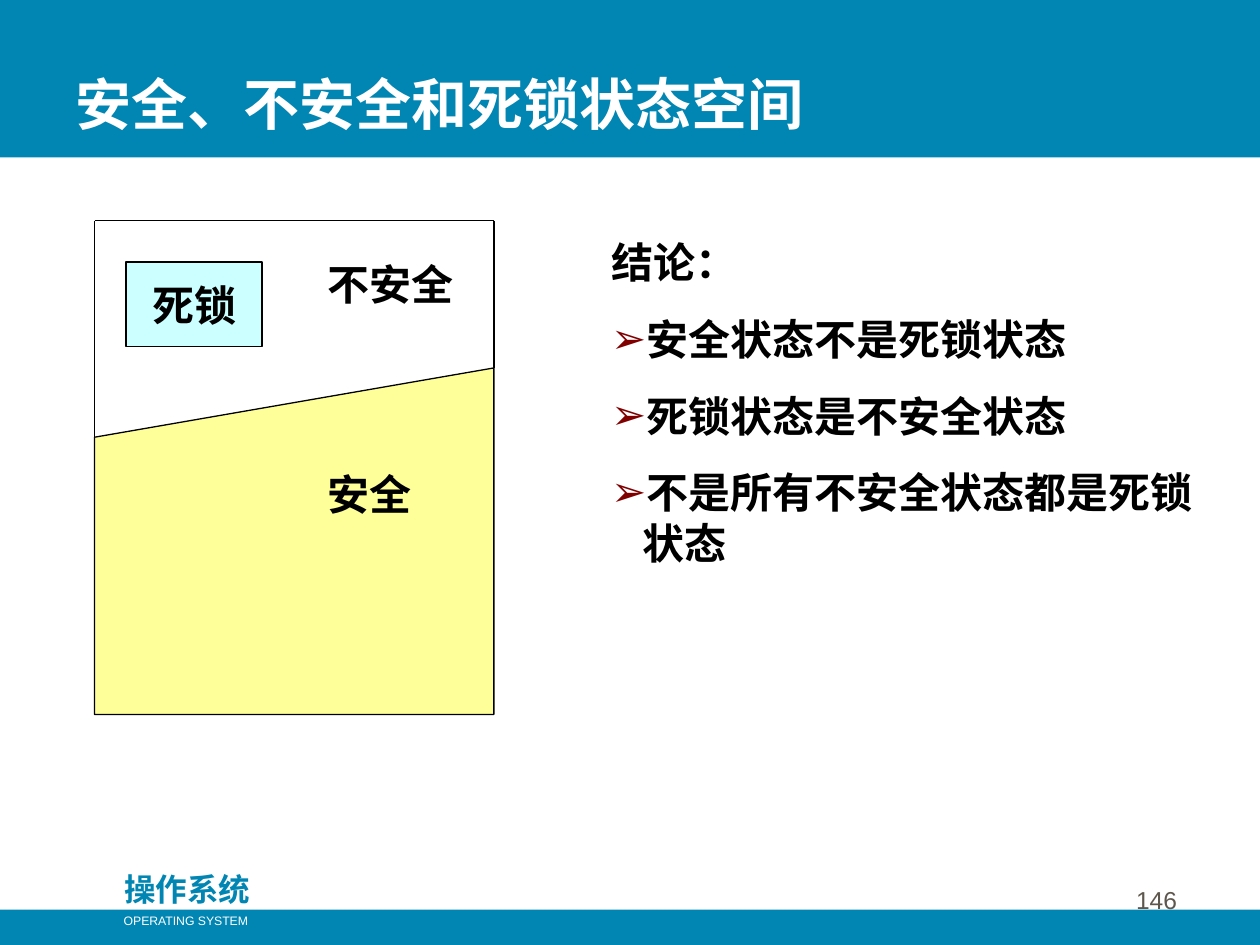
import pptx
import pptx.dml.color
import pptx.enum.shapes
import pptx.enum.text
import pptx.oxml
import pptx.oxml.ns
import pptx.util
from pptx.util import Inches

RGBColor = pptx.dml.color.RGBColor
BLUE = RGBColor(0x01, 0x86, 0xB3)
WHITE = RGBColor(0xFF, 0xFF, 0xFF)
BLACK = RGBColor(0, 0, 0)
GRAY = RGBColor(0x5E, 0x57, 0x4E)
CYAN = RGBColor(0xCC, 0xFF, 0xFF)
YELLOW = RGBColor(0xFF, 0xFF, 0x99)
MAROON = RGBColor(0x80, 0, 0)
SERIF, SANS, CJK = "Times New Roman", "Arial", "Noto Sans CJK SC"

MSO_SHAPE = pptx.enum.shapes.MSO_SHAPE
ANCHOR = pptx.enum.text.MSO_ANCHOR
ALIGN = pptx.enum.text.PP_ALIGN
NS = pptx.oxml.ns.nsdecls("a")


def write(p, text, size, color, font=SERIF, bold=True, align=ALIGN.LEFT):
    p.alignment = align
    r = p.add_run()
    r.text = text
    r.font.size = pptx.util.Pt(size)
    r.font.bold = bold
    r.font.name = font
    r.font.color.rgb = color


def add_box(kind, left, top, width, height, fill, line=None):
    s = slide.shapes.add_shape(kind, Inches(left), Inches(top), Inches(width), Inches(height))
    s.shadow.inherit = False
    s.fill.solid()
    s.fill.fore_color.rgb = fill
    if line is None:
        s.line.fill.background()
    else:
        s.line.color.rgb = line
        s.line.width = pptx.util.Pt(0.75)
    return s


prs = pptx.Presentation()
prs.slide_width, prs.slide_height = Inches(10), Inches(7.5)
slide = prs.slides.add_slide(prs.slide_layouts[1])
title, body = slide.placeholders[0], slide.placeholders[1]

# Header and footer bands
add_box(MSO_SHAPE.RECTANGLE, 0, 0, 10, 1.25, BLUE)
add_box(MSO_SHAPE.RECTANGLE, 0, 7.22, 10, 0.28, BLUE)

# State space: safe region below, unsafe region above, deadlock inside it
add_box(MSO_SHAPE.FLOWCHART_MANUAL_INPUT, 0.75, 2.92, 3.17, 2.75, YELLOW, BLACK)
outline = [(0.75, 3.5), (0.75, 1.75), (3.92, 1.75), (3.92, 2.92)]
for (x1, y1), (x2, y2) in zip(outline, outline[1:]):
    s = slide.shapes.add_connector(pptx.enum.shapes.MSO_CONNECTOR.STRAIGHT,
                                   Inches(x1), Inches(y1), Inches(x2), Inches(y2))
    s.line.color.rgb = BLACK
    s.line.width = pptx.util.Pt(0.75)
    s._element.spPr.append(pptx.oxml.parse_xml(f"<a:effectLst {NS}/>"))
deadlock = add_box(MSO_SHAPE.RECTANGLE, 1, 2.08, 1.08, 0.67, CYAN, BLACK)
tf = deadlock.text_frame
tf.word_wrap = False
tf.vertical_anchor = ANCHOR.MIDDLE
write(tf.paragraphs[0], "死锁", 24, BLACK, align=ALIGN.CENTER)

# Region labels, footer and page number
labels = [
    (2.5, 2, 1.33, 0.5, "不安全", 24, BLACK, SERIF, True, ALIGN.LEFT),
    (2.5, 3.67, 1, 0.5, "安全", 24, BLACK, SERIF, True, ALIGN.LEFT),
    (0.83, 6.86, 1.31, 0.4, "操作系统", 18, BLUE, CJK, True, ALIGN.CENTER),
    (0.88, 7.2, 1.19, 0.22, "OPERATING SYSTEM", 7, WHITE, SANS, False, ALIGN.CENTER),
    (7.36, 6.81, 2.08, 0.5, "146", 14, GRAY, SANS, False, ALIGN.RIGHT),
]
for left, top, width, height, *content in labels:
    s = slide.shapes.add_textbox(Inches(left), Inches(top), Inches(width), Inches(height))
    tf = s.text_frame
    tf.word_wrap = True
    write(tf.paragraphs[0], *content)
tf.vertical_anchor = ANCHOR.BOTTOM  # the page number sits on the band

# Title and conclusions, in front of the bands
for s, left, top, width, height in [(title, 0.5, 0.5, 8, 0.64), (body, 4.75, 1.83, 4.83, 2.73)]:
    s.left, s.top, s.width, s.height = map(Inches, (left, top, width, height))
    s.text_frame.vertical_anchor = ANCHOR.TOP
    s.text_frame.auto_size = pptx.enum.text.MSO_AUTO_SIZE.NONE
    slide.shapes._spTree.append(s._element)
write(title.text_frame.paragraphs[0], "安全、不安全和死锁状态空间", 32, WHITE)

tf = body.text_frame
conclusions = ["结论：", "安全状态不是死锁状态", "死锁状态是不安全状态", "不是所有不安全状态都是死锁状态"]
for i, text in enumerate(conclusions):
    p = tf.add_paragraph() if i else tf.paragraphs[0]
    p.space_before = pptx.util.Pt(15 if i else 0)
    pPr = p._p.get_or_add_pPr()
    indent = Inches(0.25) if i else 0
    pPr.set("marL", str(indent))
    pPr.set("indent", str(-indent))
    if i:
        pPr.append(pptx.oxml.parse_xml(f'<a:buClr {NS}><a:srgbClr val="{MAROON}"/></a:buClr>'))
        pPr.append(pptx.oxml.parse_xml(f'<a:buChar {NS} char="➢"/>'))
    else:
        pPr.append(pptx.oxml.parse_xml(f"<a:buNone {NS}/>"))
    write(p, text, 24, BLACK)

prs.save("out.pptx")
